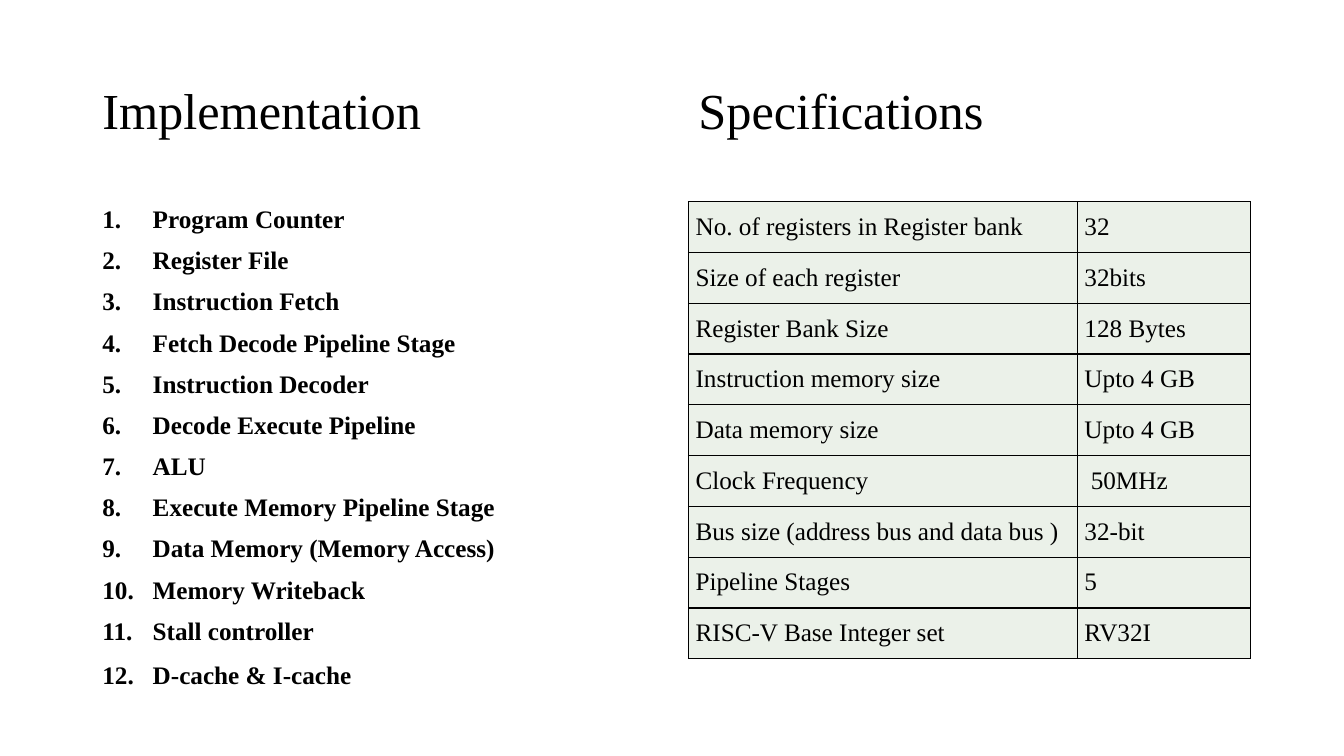
from dataclasses import dataclass

import pptx
import pptx.dml.color
import pptx.enum.text
import pptx.oxml.ns
import pptx.util
from lxml import etree
from pptx.util import Cm, Pt

FONT = "Times New Roman"
BLACK = "000000"
CELL_FILL = "EBF1E9"
LEFT_COLUMN = Cm(2.33)
RIGHT_COLUMN = Cm(17.35)
CONTENT_TOP = Cm(5.08)
ROW_HEIGHT = Cm(1.28)
COLUMN_WIDTHS = (Cm(9.8), Cm(4.37))
CELL_MARGIN = Cm(0.18)
LIST_INDENT = Cm(1.27)


@dataclass(frozen=True)
class Heading:
    text: str
    left: int


@dataclass(frozen=True)
class Specification:
    name: str
    value: str


HEADINGS = (
    Heading("Implementation", LEFT_COLUMN),
    Heading("Specifications", RIGHT_COLUMN),
)

MODULES = (
    "Program Counter",
    "Register File",
    "Instruction Fetch",
    "Fetch Decode Pipeline Stage",
    "Instruction Decoder",
    "Decode Execute Pipeline",
    "ALU",
    "Execute Memory Pipeline Stage",
    "Data Memory (Memory Access)",
    "Memory Writeback",
    "Stall controller",
    "D-cache & I-cache",
)

SPECIFICATIONS = (
    Specification("No. of registers in Register bank", "32"),
    Specification("Size of each register", "32bits"),
    Specification("Register Bank Size", "128 Bytes"),
    Specification("Instruction memory size", "Upto 4 GB"),
    Specification("Data memory size", "Upto 4 GB"),
    Specification("Clock Frequency", " 50MHz"),
    Specification("Bus size (address bus and data bus )", "32-bit"),
    Specification("Pipeline Stages", "5"),
    Specification("RISC-V Base Integer set", "RV32I"),
)


def color(value: str) -> pptx.dml.color.RGBColor:
    return pptx.dml.color.RGBColor.from_string(value)


def add_run(paragraph, text: str, size: float, bold: bool = False) -> None:
    run = paragraph.add_run()
    run.text = text
    run.font.name = FONT
    run.font.size = Pt(size)
    run.font.bold = bold
    run.font.color.rgb = color(BLACK)


def add_heading(slide, heading: Heading) -> None:
    shape = slide.shapes.add_textbox(heading.left, Cm(1.02), Cm(13.97), Cm(3.68))
    frame = shape.text_frame
    frame.word_wrap = True
    frame.vertical_anchor = pptx.enum.text.MSO_ANCHOR.MIDDLE
    paragraph = frame.paragraphs[0]
    paragraph.line_spacing = 0.9
    add_run(paragraph, heading.text, 36)


def number_paragraph(paragraph) -> None:
    properties = paragraph._p.get_or_add_pPr()
    properties.set("marL", str(LIST_INDENT))
    properties.set("indent", str(-LIST_INDENT))
    numbering = etree.SubElement(properties, pptx.oxml.ns.qn("a:buAutoNum"))
    numbering.set("type", "arabicPeriod")


def add_module_list(slide, modules: tuple[str, ...]) -> None:
    shape = slide.shapes.add_textbox(LEFT_COLUMN, CONTENT_TOP, Cm(13.97), Cm(13))
    frame = shape.text_frame
    frame.word_wrap = True
    for index, module in enumerate(modules):
        paragraph = frame.add_paragraph() if index else frame.paragraphs[0]
        paragraph.alignment = pptx.enum.text.PP_ALIGN.JUSTIFY
        paragraph.line_spacing = Pt(19.4)
        paragraph.space_before = Pt(12 if module == modules[-1] else 10)
        number_paragraph(paragraph)
        add_run(paragraph, module, 18, bold=True)


def add_borders(cell) -> None:
    properties = cell._tc.get_or_add_tcPr()
    for side in ("L", "R", "T", "B"):
        line = etree.SubElement(properties, pptx.oxml.ns.qn(f"a:ln{side}"), w=str(Pt(1)))
        fill = etree.SubElement(line, pptx.oxml.ns.qn("a:solidFill"))
        etree.SubElement(fill, pptx.oxml.ns.qn("a:srgbClr"), val=BLACK)


def fill_cell(cell, text: str) -> None:
    cell.margin_left = cell.margin_right = CELL_MARGIN
    cell.margin_top = cell.margin_bottom = CELL_MARGIN
    add_borders(cell)
    cell.fill.solid()
    cell.fill.fore_color.rgb = color(CELL_FILL)
    paragraph = cell.text_frame.paragraphs[0]
    paragraph.line_spacing = 1.15
    add_run(paragraph, text, 18)


def add_specification_table(slide, specifications: tuple[Specification, ...]) -> None:
    row_count = len(specifications)
    table = slide.shapes.add_table(
        row_count, len(COLUMN_WIDTHS), RIGHT_COLUMN, CONTENT_TOP,
        sum(COLUMN_WIDTHS), ROW_HEIGHT * row_count,
    ).table
    table.first_row = False
    table.horz_banding = False
    for column, width in zip(table.columns, COLUMN_WIDTHS):
        column.width = width
    for row, specification in zip(table.rows, specifications):
        row.height = ROW_HEIGHT
        for cell, text in zip(row.cells, (specification.name, specification.value)):
            fill_cell(cell, text)


def main() -> None:
    presentation = pptx.Presentation()
    presentation.slide_width = Cm(33.87)
    presentation.slide_height = Cm(19.05)
    slide = presentation.slides.add_slide(presentation.slide_layouts[6])
    for heading in HEADINGS:
        add_heading(slide, heading)
    add_module_list(slide, MODULES)
    add_specification_table(slide, SPECIFICATIONS)
    presentation.save("out.pptx")


if __name__ == "__main__":
    main()
